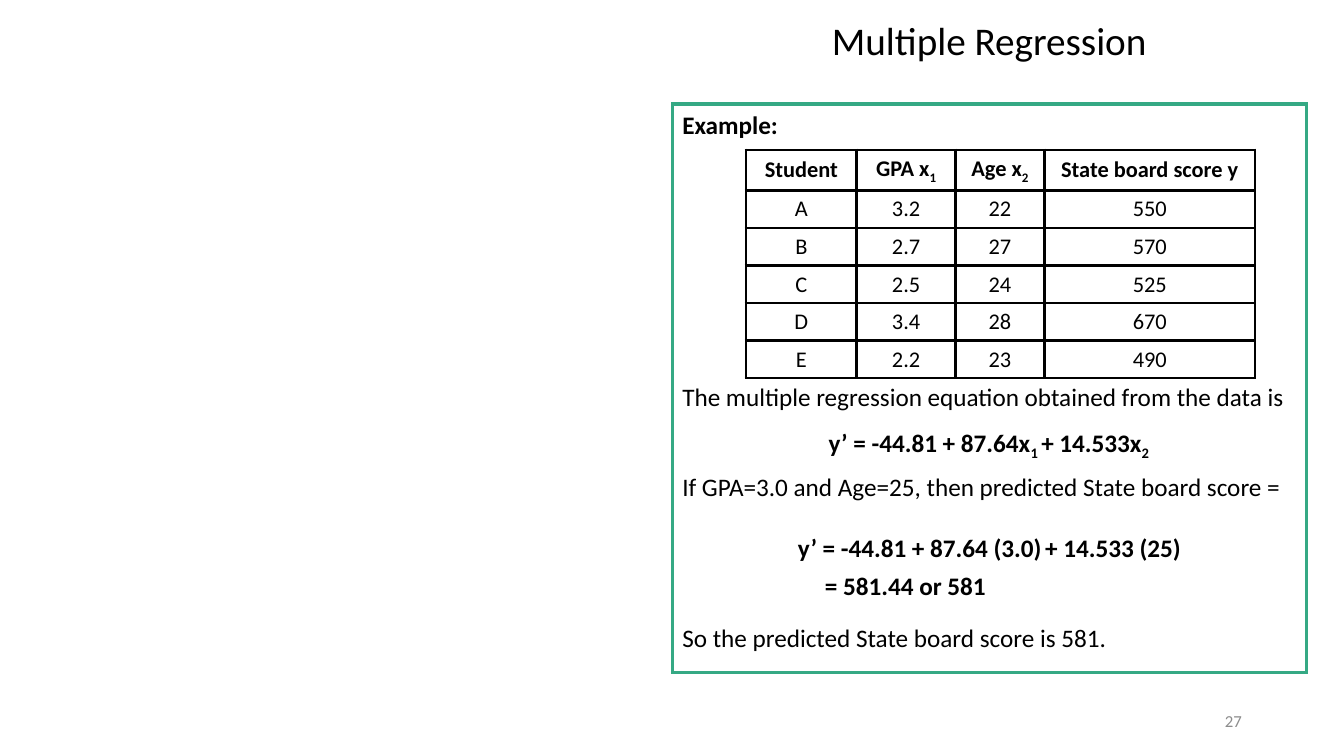
from dataclasses import dataclass

from lxml.etree import SubElement
from pptx import Presentation
from pptx.dml.color import RGBColor
from pptx.enum.text import MSO_ANCHOR as Anchor, MSO_AUTO_SIZE as AutoSize, PP_ALIGN as Align
from pptx.oxml import parse_xml
from pptx.oxml.ns import nsdecls, qn
from pptx.util import Cm, Pt

COLORS = {"text": "000000", "frame": "35A984", "number": "8C8C8C"}
FONT = "Calibri"


@dataclass(frozen=True)
class Box:
    left: float
    top: float
    width: float
    height: float

    def lengths(self) -> list:
        return [Cm(value) for value in (self.left, self.top, self.width, self.height)]


@dataclass(frozen=True)
class Line:
    """One paragraph; "_" in the text switches subscript on and off."""
    text: str
    size: int = 18
    bold: bool = False
    align: Align = Align.LEFT
    before: float = 0
    indent: float = 0
    spacing: float = 1.0
    color: str = "text"


TITLE_BOX = Box(16.94, 0.41, 15.98, 1.55)
TITLE = Line("Multiple Regression", size=28, align=Align.CENTER, spacing=0.9)

EXAMPLE_BOX = Box(16.94, 2.62, 15.98, 14.33)
EXAMPLE = [
    Line("Example:", bold=True, align=Align.JUSTIFY),
    Line("The multiple regression equation obtained from the data is",
         align=Align.JUSTIFY, before=173),
    Line("If GPA=3.0 and Age=25, then predicted State board score =", before=42.3),
    Line("So the predicted State board score is 581.", align=Align.JUSTIFY, before=86.6),
]

EQUATIONS = [
    (Box(20.55, 10.64, 8.74, 1.02),
     [Line("y’ = -44.81 + 87.64x_1 _+ 14.533x_2", bold=True, align=Align.CENTER)]),
    (Box(19.84, 13.28, 10.19, 1.8),
     [Line("y’ = -44.81 + 87.64 (3.0)_ _+ 14.533 (25)", bold=True, align=Align.CENTER),
      Line("= 581.44 or 581", bold=True, before=3, indent=0.7)]),
]

NUMBER_BOX = Box(23.93, 17.65, 7.62, 1.02)
NUMBER = Line("27", size=12, align=Align.RIGHT, color="number")

TABLE_BOX = Box(18.8, 3.78, 12.83, 5.72)
COLUMN_WIDTHS = [2.79, 2.49, 2.24, 5.31]
HEADER_HEIGHT, ROW_HEIGHT = 1.02, 0.94
STUDENTS = [
    ["Student", "GPA x_1", "Age x_2", "State board score y"],
    ["A", "3.2", "22", "550"],
    ["B", "2.7", "27", "570"],
    ["C", "2.5", "24", "525"],
    ["D", "3.4", "28", "670"],
    ["E", "2.2", "23", "490"],
]


def write_lines(text_frame, lines: list[Line]) -> None:
    for index, line in enumerate(lines):
        paragraph = text_frame.add_paragraph() if index else text_frame.paragraphs[0]
        paragraph.alignment = line.align
        paragraph.line_spacing = line.spacing
        paragraph.space_before, paragraph.space_after = Pt(line.before), Pt(0)
        properties = paragraph._p.get_or_add_pPr()
        properties.set("marL", str(Cm(line.indent)))
        properties.set("indent", "0")
        SubElement(properties, qn("a:buNone"))
        for part, text in enumerate(line.text.split("_")):
            if not text:
                continue
            run = paragraph.add_run()
            run.text = text
            run.font.name, run.font.size, run.font.bold = FONT, Pt(line.size), line.bold
            run.font.color.rgb = RGBColor.from_string(COLORS[line.color])
            if part % 2:
                run._r.get_or_add_rPr().set("baseline", "-25000")


def fill_placeholder(placeholder, box: Box, lines: list[Line]) -> None:
    placeholder.left, placeholder.top, placeholder.width, placeholder.height = box.lengths()
    text_frame = placeholder.text_frame
    text_frame.auto_size = AutoSize.NONE
    text_frame.vertical_anchor = Anchor.TOP
    write_lines(text_frame, lines)


def add_text(slide, box: Box, lines: list[Line], anchor: Anchor = Anchor.TOP,
             wrap: bool = True) -> None:
    text_frame = slide.shapes.add_textbox(*box.lengths()).text_frame
    text_frame.word_wrap = wrap
    text_frame.vertical_anchor = anchor
    write_lines(text_frame, lines)


def add_borders(cell) -> None:
    properties = cell._tc.get_or_add_tcPr()
    for index, side in enumerate(("lnL", "lnR", "lnT", "lnB")):
        properties.insert(index, parse_xml(
            f'<a:{side} {nsdecls("a")} w="{Pt(2.25)}"><a:solidFill>'
            f'<a:srgbClr val="{COLORS["text"]}"/></a:solidFill></a:{side}>'))


def add_student_table(slide) -> None:
    table = slide.shapes.add_table(
        len(STUDENTS), len(COLUMN_WIDTHS), *TABLE_BOX.lengths()).table
    table.first_row = table.horz_banding = False
    for column, width in zip(table.columns, COLUMN_WIDTHS):
        column.width = Cm(width)
    for row_index, (row, values) in enumerate(zip(table.rows, STUDENTS)):
        is_header = row_index == 0
        row.height = Cm(HEADER_HEIGHT if is_header else ROW_HEIGHT)
        for cell, value in zip(row.cells, values):
            cell.fill.background()
            cell.vertical_anchor = Anchor.MIDDLE
            add_borders(cell)
            write_lines(cell.text_frame,
                        [Line(value, size=16, bold=is_header, align=Align.CENTER)])


def main() -> None:
    presentation = Presentation()
    presentation.slide_width, presentation.slide_height = Cm(33.87), Cm(19.05)
    slide = presentation.slides.add_slide(presentation.slide_layouts[1])

    example = slide.placeholders[1]
    fill_placeholder(example, EXAMPLE_BOX, EXAMPLE)
    example.line.color.rgb = RGBColor.from_string(COLORS["frame"])
    example.line.width = Pt(2.25)
    SubElement(example.line._ln, qn("a:miter"), lim="800000")
    fill_placeholder(slide.shapes.title, TITLE_BOX, [TITLE])

    add_student_table(slide)
    for box, lines in EQUATIONS:
        add_text(slide, box, lines, wrap=False)
    add_text(slide, NUMBER_BOX, [NUMBER], Anchor.MIDDLE)
    presentation.save("out.pptx")


if __name__ == "__main__":
    main()
